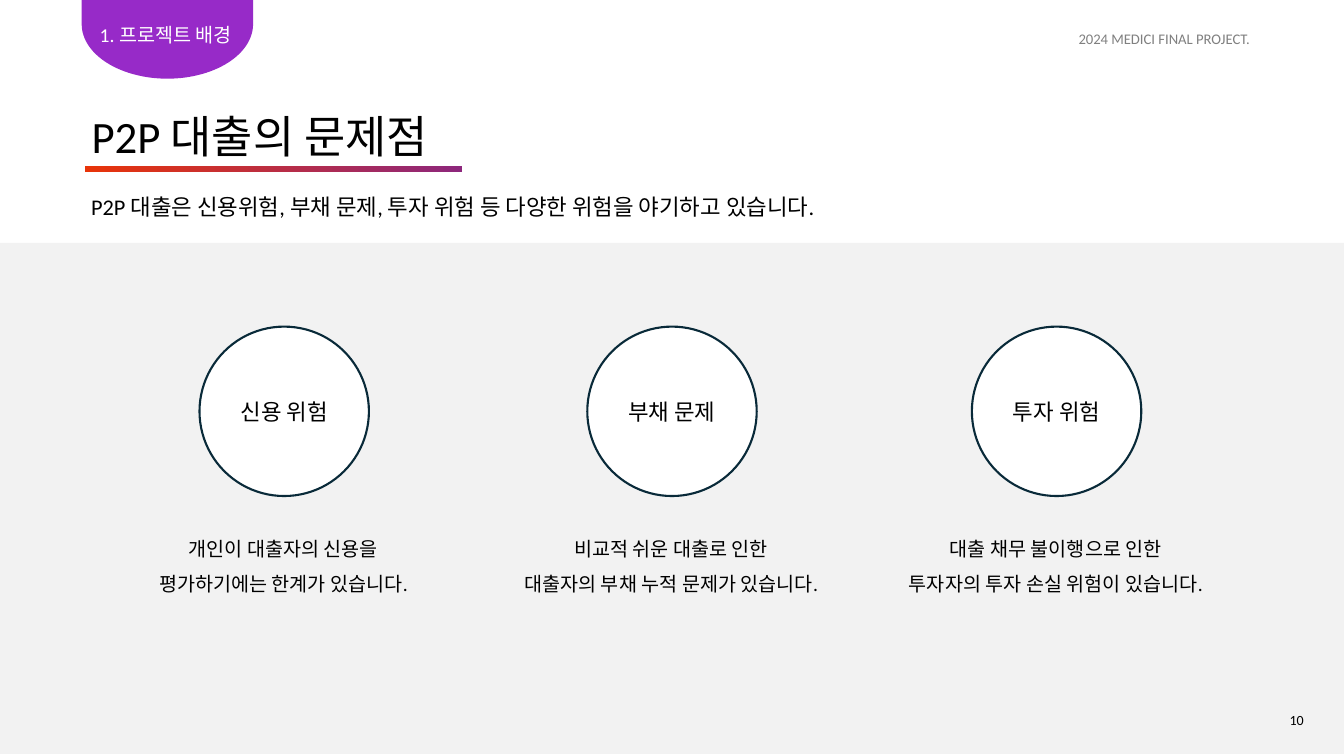
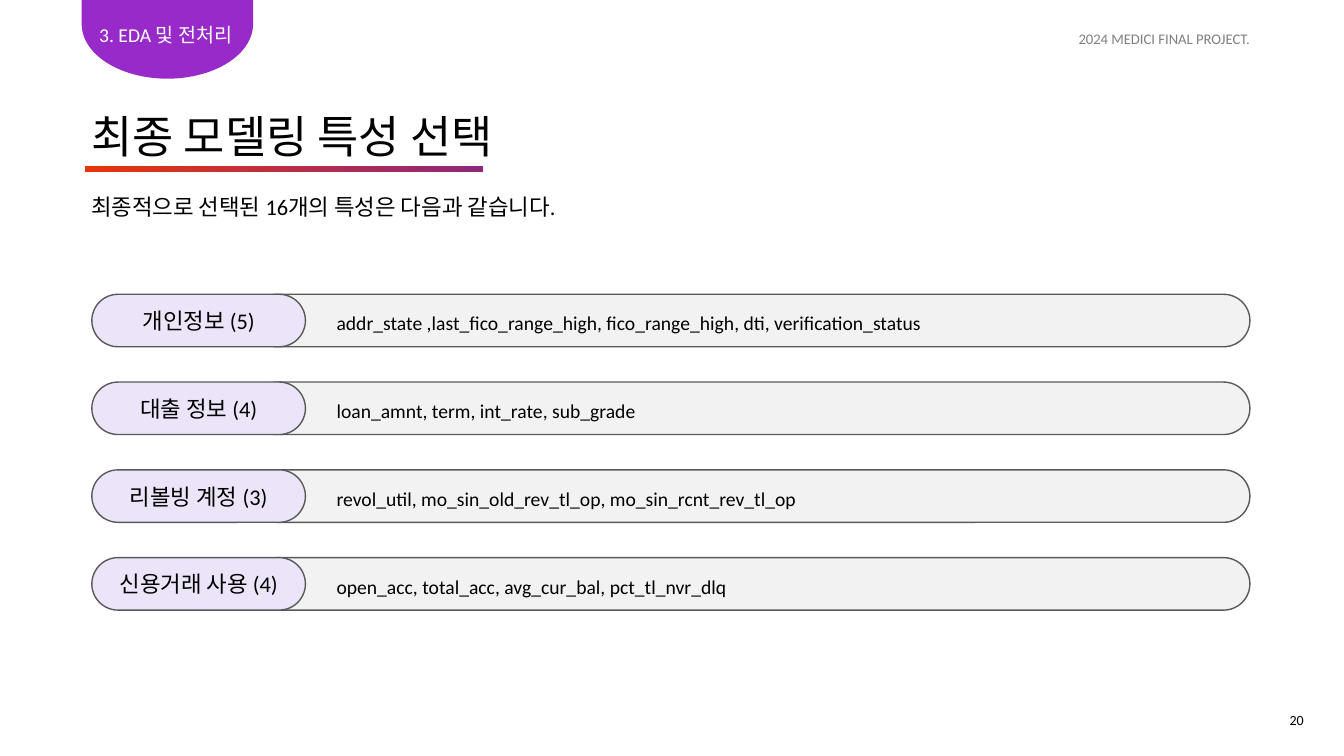
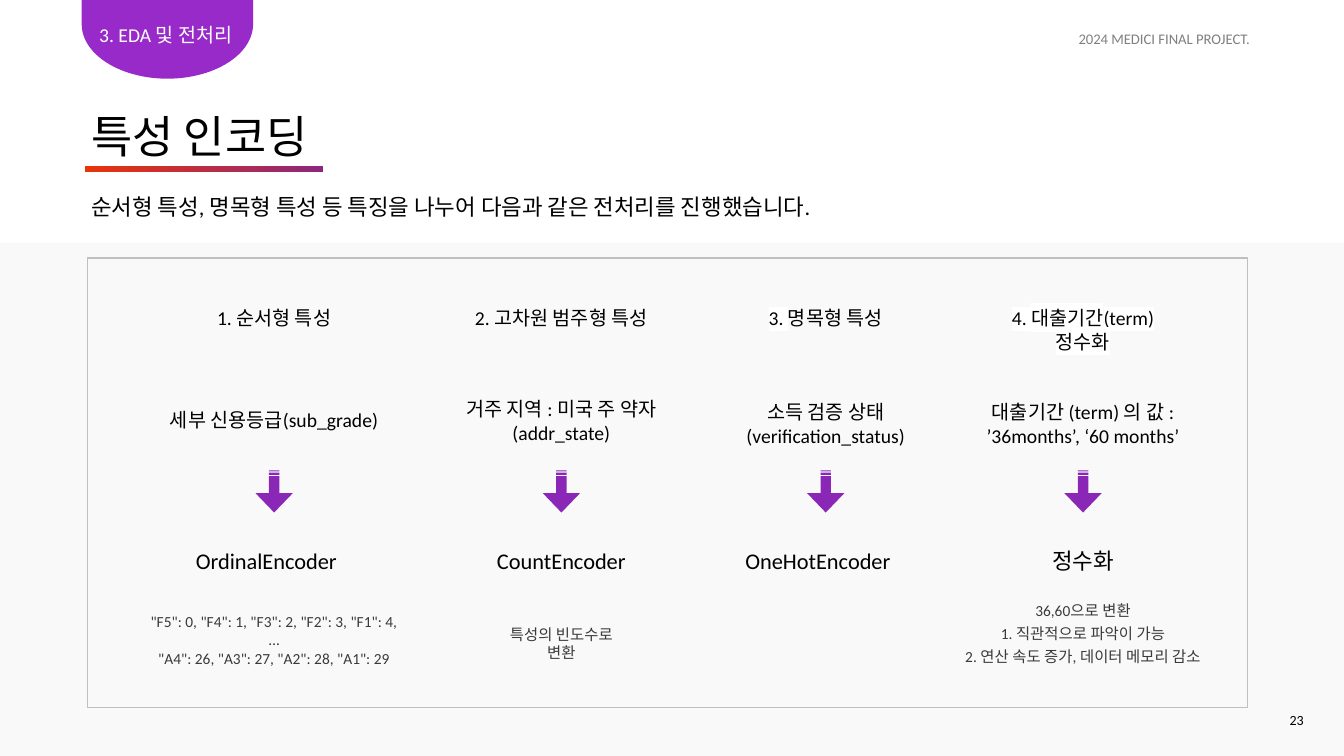
from dataclasses import dataclass
from math import cos, pi, sin
from typing import NamedTuple, Optional

from lxml.etree import SubElement
from pptx import Presentation
from pptx.dml.color import RGBColor
from pptx.enum.shapes import MSO_SHAPE as Preset
from pptx.enum.text import MSO_ANCHOR as Anchor, PP_ALIGN as Align
from pptx.oxml.ns import qn
from pptx.util import Pt

FONT = "Calibri"
BLACK, WHITE, GRAY = "000000", "FFFFFF", "808080"
NOTE_GRAY, FRAME_GRAY, PILL_LINE = "3A3A3A", "BFBFBF", "595959"
LIGHT_GRAY, PALE_GRAY, LAVENDER = "F2F2F2", "F9F9F9", "ECE4F8"
TAB_PURPLE, ARROW_PURPLE, NAVY = "972AC8", "8A27B7", "092A39"
RULE_COLORS = ("E83409", "8D277C")

BLANK_LAYOUT = 6
PANEL_TOP = 173.5


class Box(NamedTuple):
    left: float
    top: float
    width: float
    height: float


class Style(NamedTuple):
    size: float
    color: str = BLACK
    align: Align = Align.LEFT
    line_spacing: Optional[float] = None
    space_before: Optional[float] = None


TITLE = Style(32)
SUBTITLE = Style(16)
LABEL = Style(16, align=Align.CENTER)
BODY = Style(14, align=Align.CENTER)
CAPTION = Style(14, align=Align.CENTER, line_spacing=1.5)
FEATURES = Style(14, line_spacing=1.5)
NOTE = Style(11, NOTE_GRAY, Align.CENTER)
SPACED_NOTE = NOTE._replace(space_before=3)
SECTION = Style(14, WHITE, Align.CENTER)
PROJECT = Style(10.5, GRAY, Align.CENTER)
PAGE = Style(10, align=Align.JUSTIFY, line_spacing=1.5)


@dataclass
class Page:
    number: int
    section: str
    title: str
    subtitle: str
    rule_width: float
    panel_color: Optional[str] = None
    panel_height: float = 0


@dataclass
class Risk:
    center: float
    name: str
    caption: str


@dataclass
class FeatureGroup:
    name: str
    features: str


@dataclass
class Encoding:
    center: float
    heading: str
    subject: str
    subject_top: float
    encoder: str
    encoder_shift: float = 0
    note: str = ""
    note_top: float = 0
    note_width: float = 0
    note_style: Style = NOTE
    highlighted: str = ""


RISKS = [
    Risk(203, "신용 위험", "개인이 대출자의 신용을\n평가하기에는 한계가 있습니다."),
    Risk(480, "부채 문제", "비교적 쉬운 대출로 인한\n대출자의 부채 누적 문제가 있습니다."),
    Risk(754.7, "투자 위험", "대출 채무 불이행으로 인한\n투자자의 투자 손실 위험이 있습니다."),
]

FEATURE_GROUPS = [
    FeatureGroup("개인정보 (5)",
                 "addr_state ,last_fico_range_high, fico_range_high, dti, verification_status"),
    FeatureGroup("대출 정보 (4)", "loan_amnt, term, int_rate, sub_grade"),
    FeatureGroup("리볼빙 계정 (3)", "revol_util, mo_sin_old_rev_tl_op, mo_sin_rcnt_rev_tl_op"),
    FeatureGroup("신용거래 사용 (4)", "open_acc, total_acc, avg_cur_bal, pct_tl_nvr_dlq"),
]

ENCODINGS = [
    Encoding(195.8, "1. 순서형 특성", "세부 신용등급(sub_grade)", 288, "OrdinalEncoder", -5.5,
             '"F5": 0, "F4": 1, "F3": 2, "F2": 3, "F1": 4,\n…\n'
             '"A4": 26, "A3": 27, "A2": 28, "A1": 29', 433.4, 203),
    Encoding(401, "2. 고차원 범주형 특성", "거주 지역 : 미국 주 약자(addr_state)", 280,
             "CountEncoder", note="특성의 빈도수로 변환", note_top=442.8, note_width=107.3),
    Encoding(589.8, "3. 명목형 특성", "소득 검증 상태(verification_status)", 282.2,
             "OneHotEncoder", -5.5, highlighted="3. "),
    Encoding(773.6, "4. 대출기간(term) 정수화",
             "대출기간 (term) 의 값 :\n’36months’, ‘60 months’", 282.2, "정수화",
             note="36,60으로 변환\n1. 직관적으로 파악이 가능\n2. 연산 속도 증가, 데이터 메모리 감소",
             note_top=426.2, note_width=244.8, note_style=SPACED_NOTE,
             highlighted="4. 대출기간(term) 정수화"),
]


def rgb(color: str) -> RGBColor:
    return RGBColor.from_string(color)


def centered(center: float, top: float, width: float, height: float) -> Box:
    return Box(center - width / 2, top, width, height)


def format_run(run, style: Style) -> None:
    run.font.name = FONT
    run.font.size = Pt(style.size)
    run.font.color.rgb = rgb(style.color)


def write(frame, text: str, style: Style) -> None:
    """Fill a text frame, one paragraph for each line of text."""
    frame.word_wrap = True
    frame.text = text
    for index, paragraph in enumerate(frame.paragraphs):
        paragraph.alignment = style.align
        if style.line_spacing:
            paragraph.line_spacing = style.line_spacing
        if style.space_before and index:
            paragraph.space_before = Pt(style.space_before)
        for run in paragraph.runs:
            format_run(run, style)


def add_text(slide, box: Box, text: str, style: Style):
    frame = slide.shapes.add_textbox(*map(Pt, box)).text_frame
    write(frame, text, style)
    return frame


def paint(shape, fill: Optional[str], line: Optional[str] = None, line_width: float = 1) -> None:
    shape.shadow.inherit = False
    if fill:
        shape.fill.solid()
        shape.fill.fore_color.rgb = rgb(fill)
    else:
        shape.fill.background()
    if line:
        shape.line.color.rgb = rgb(line)
        shape.line.width = Pt(line_width)
    else:
        shape.line.fill.background()


def add_preset(slide, preset: Preset, box: Box, fill: Optional[str],
               line: Optional[str] = None, line_width: float = 1):
    shape = slide.shapes.add_shape(preset, *map(Pt, box))
    paint(shape, fill, line, line_width)
    return shape


def add_label(shape, text: str) -> None:
    write(shape.text_frame, text, LABEL)
    shape.text_frame.vertical_anchor = Anchor.MIDDLE


def highlight(paragraph, text: str, style: Style) -> None:
    """Put a white highlight behind the leading text of a one-run paragraph."""
    run = paragraph.runs[0]
    rest = run.text.removeprefix(text)
    run.text = text
    properties = run.font._element
    mark = SubElement(properties, qn("a:highlight"))
    SubElement(mark, qn("a:srgbClr")).set("val", WHITE)
    properties.find(qn("a:solidFill")).addnext(mark)
    if rest:
        tail = paragraph.add_run()
        tail.text = rest
        format_run(tail, style)


def add_section_tab(slide) -> None:
    """Hang a half-ellipse tab from the top edge."""
    left, width, shoulder, depth, steps = 58.4, 122.4, 17.3, 38.9, 60
    radius = width / 2
    curve = [(left + radius + radius * cos(pi * step / steps),
              shoulder + depth * sin(pi * step / steps)) for step in range(steps + 1)]
    outline = [(left + width, 0), *curve, (left, 0)]
    builder = slide.shapes.build_freeform(Pt(left), 0)
    builder.add_line_segments([(Pt(x), Pt(y)) for x, y in outline], close=True)
    paint(builder.convert_to_shape(), TAB_PURPLE)


def add_title_rule(slide, width: float) -> None:
    rule = add_preset(slide, Preset.RECTANGLE, Box(60.8, 118.6, width, 4), RULE_COLORS[0])
    rule.fill.gradient()
    rule.fill.gradient_angle = 0
    for stop, color in zip(rule.fill.gradient_stops, RULE_COLORS):
        stop.color.rgb = rgb(color)


def add_page(deck, page: Page):
    """Add a slide with the parts that all slides share."""
    slide = deck.slides.add_slide(deck.slide_layouts[BLANK_LAYOUT])
    if page.panel_color:
        add_preset(slide, Preset.RECTANGLE, Box(0, PANEL_TOP, 960, page.panel_height),
                   page.panel_color)
    add_section_tab(slide)
    add_title_rule(slide, page.rule_width)
    add_text(slide, Box(49.7, 13, 137.5, 24.5), page.section, SECTION)
    add_text(slide, Box(722.9, 18, 217.4, 21), "2024 MEDICI FINAL PROJECT.", PROJECT)
    add_text(slide, Box(58.3, 74.2, 441, 46), page.title, TITLE)
    add_text(slide, Box(58, 134.4, 794, 26.6), page.subtitle, SUBTITLE)
    add_text(slide, Box(914, 498.8, 32, 24), str(page.number), PAGE)
    return slide


def add_risk(slide, risk: Risk) -> None:
    circle = add_preset(slide, Preset.OVAL, centered(risk.center, 233.3, 121, 121),
                        WHITE, NAVY, 1.5)
    add_label(circle, risk.name)
    add_text(slide, centered(risk.center - 0.5, 371.5, 297, 55.4), risk.caption, CAPTION)


def add_feature_group(slide, group: FeatureGroup, top: float) -> None:
    bar = add_preset(slide, Preset.ROUNDED_RECTANGLE, Box(179.3, top, 713.5, 37.5),
                     LIGHT_GRAY, PILL_LINE)
    pill = add_preset(slide, Preset.ROUNDED_RECTANGLE, Box(65.6, top, 152.6, 37.5),
                      LAVENDER, PILL_LINE)
    for shape in (bar, pill):
        shape.adjustments[0] = 0.5
    add_label(pill, group.name)
    add_text(slide, Box(233.3, top + 0.2, 586, 30.2), group.features, FEATURES)


def add_encoding(slide, encoding: Encoding) -> None:
    center = encoding.center
    heading = add_text(slide, centered(center, 215.3, 150, 24.5), encoding.heading, BODY)
    if encoding.highlighted:
        highlight(heading.paragraphs[0], encoding.highlighted, BODY)
    add_text(slide, centered(center, encoding.subject_top, 170.6, 41), encoding.subject, BODY)
    arrow = add_preset(slide, Preset.STRIPED_RIGHT_ARROW, centered(center, 337.7, 30.2, 26.6),
                       ARROW_PURPLE)
    arrow.rotation = 90
    arrow.adjustments[0] = 0.28
    arrow.adjustments[1] = 0.52
    add_text(slide, centered(center + encoding.encoder_shift, 387.4, 144, 26.6),
             encoding.encoder, LABEL)
    if encoding.note:
        add_text(slide, centered(center, encoding.note_top, encoding.note_width, 50),
                 encoding.note, encoding.note_style)


def main() -> None:
    deck = Presentation()
    deck.slide_width, deck.slide_height = Pt(960), Pt(540)

    problems = add_page(deck, Page(
        10, "1. 프로젝트 배경", "P2P 대출의 문제점",
        "P2P 대출은 신용위험, 부채 문제, 투자 위험 등 다양한 위험을 야기하고 있습니다.",
        269.3, LIGHT_GRAY, 365))
    for risk in RISKS:
        add_risk(problems, risk)

    selection = add_page(deck, Page(
        20, "3. EDA 및 전처리", "최종 모델링 특성 선택",
        "최종적으로 선택된 16개의 특성은 다음과 같습니다.", 284.4))
    for row, group in enumerate(FEATURE_GROUPS):
        add_feature_group(selection, group, 210.2 + 62.7 * row)

    preprocessing = add_page(deck, Page(
        23, "3. EDA 및 전처리", "특성 인코딩",
        "순서형 특성, 명목형 특성 등 특징을 나누어 다음과 같은 전처리를 진행했습니다.",
        170, PALE_GRAY, 366.5))
    add_preset(preprocessing, Preset.RECTANGLE, Box(62.6, 184.3, 828.7, 321.1), None, FRAME_GRAY)
    for encoding in ENCODINGS:
        add_encoding(preprocessing, encoding)

    deck.save("out.pptx")


if __name__ == "__main__":
    main()
